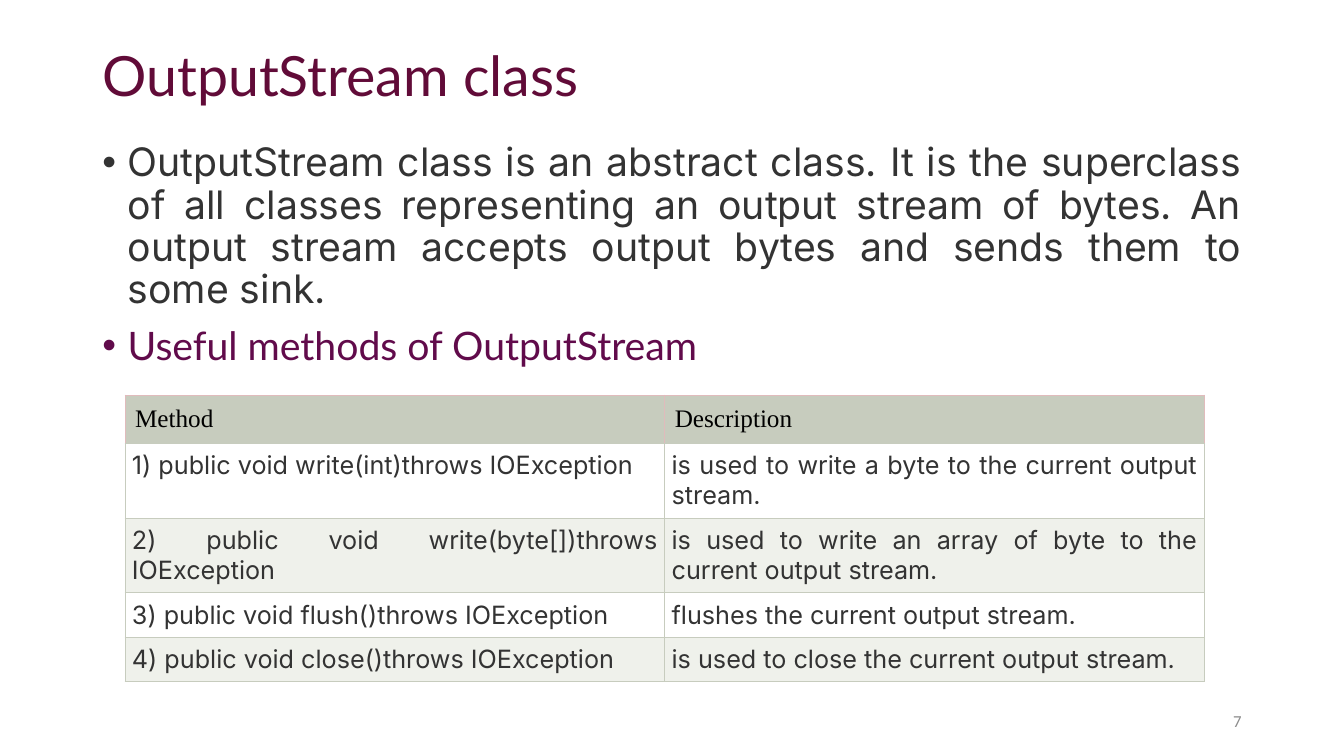
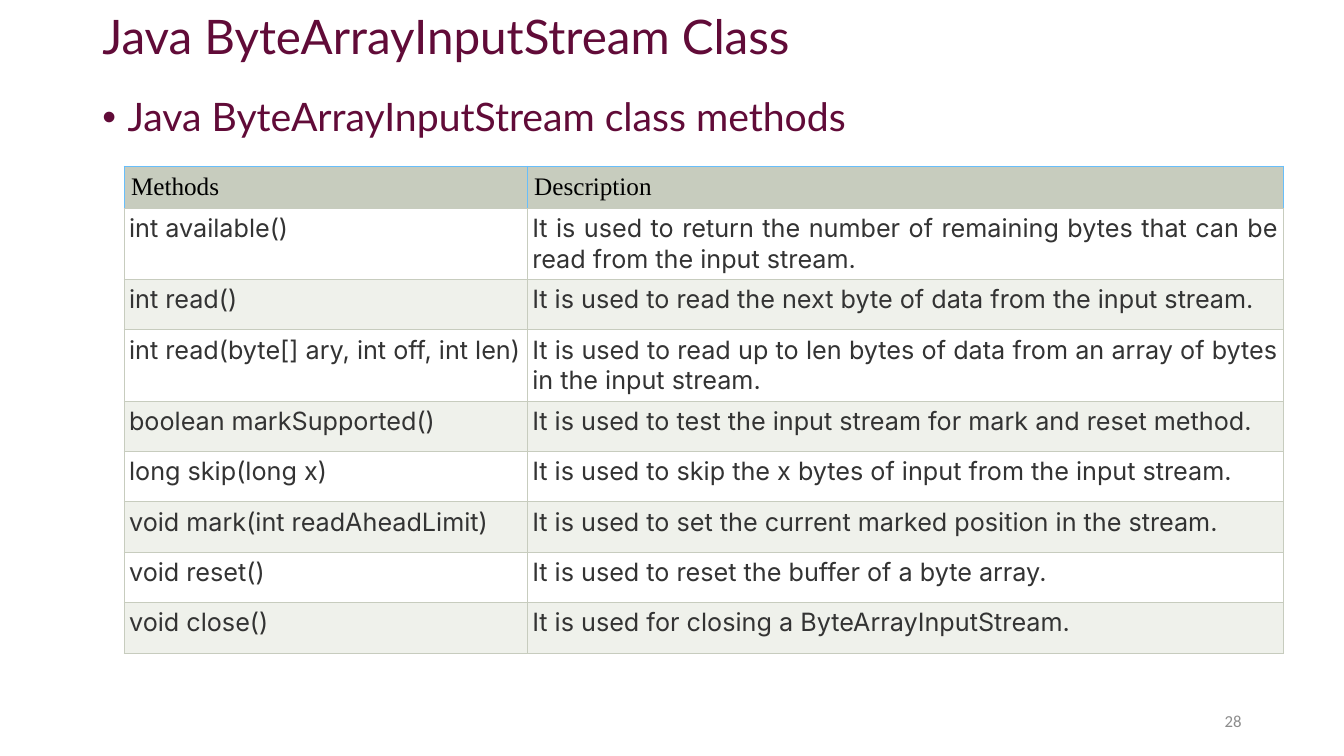
import dataclasses

import pptx
import pptx.dml.color
import pptx.enum.text
import pptx.oxml.ns
import pptx.util
from lxml import etree

Pt = pptx.util.Pt
ALIGN = pptx.enum.text.PP_ALIGN
ANCHOR = pptx.enum.text.MSO_ANCHOR


# Theme: colours, fonts, type sizes and the shared column of text
@dataclasses.dataclass(frozen=True)
class Theme:
    wine: str = "610B38"
    plum: str = "610B4B"
    text: str = "333333"
    black: str = "000000"
    number: str = "8C8C8C"
    sage: str = "C7CCBE"
    bands: tuple = ("FFFFFF", "EFF1EB")
    heading_font: str = "Lato"
    body_font: str = "Inter"
    header_font: str = "Times New Roman"
    number_font: str = "Calibri"
    body_size: float = 28
    table_size: float = 18
    number_size: float = 12
    border_width: float = 0.6
    left: float = 66
    width: float = 828
    body_height: float = 342.7


T = Theme()

STREAM_METHODS = [
    ("Method", "Description"),
    ("1) public void write(int)throws IOException",
     "is used to write a byte to the current output stream."),
    ("2) public void write(byte[])throws IOException",
     "is used to write an array of byte to the current output stream."),
    ("3) public void flush()throws IOException", "flushes the current output stream."),
    ("4) public void close()throws IOException",
     "is used to close the current output stream."),
]

BYTE_ARRAY_METHODS = [
    ("Methods", "Description"),
    ("int available()",
     "It is used to return the number of remaining bytes that can be read "
     "from the input stream."),
    ("int read()", "It is used to read the next byte of data from the input stream."),
    ("int read(byte[] ary, int off, int len)",
     "It is used to read up to len bytes of data from an array of bytes "
     "in the input stream."),
    ("boolean markSupported()",
     "It is used to test the input stream for mark and reset method."),
    ("long skip(long x)",
     "It is used to skip the x bytes of input from the input stream."),
    ("void mark(int readAheadLimit)",
     "It is used to set the current marked position in the stream."),
    ("void reset()", "It is used to reset the buffer of a byte array."),
    ("void close()", "It is used for closing a ByteArrayInputStream."),
]


# Helpers
def rgb(color):
    return pptx.dml.color.RGBColor.from_string(color)


def add_xml(parent, tag, **attributes):
    return etree.SubElement(parent, pptx.oxml.ns.qn(tag), attributes)


def set_font(p, name, size, color):
    p.font.name = name
    p.font.size = Pt(size)
    p.font.color.rgb = rgb(color)


def place(shape, left, top, width, height):
    shape.left, shape.top = Pt(left), Pt(top)
    shape.width, shape.height = Pt(width), Pt(height)


def prepare_frame(tf, anchor):
    tf.word_wrap = True
    tf.auto_size = pptx.enum.text.MSO_AUTO_SIZE.NONE
    tf.vertical_anchor = anchor


# Title, bullets and slide number
def set_title(s, text, top, height, size):
    title = s.shapes.title
    place(title, T.left, top, T.width, height)
    prepare_frame(title.text_frame, ANCHOR.MIDDLE)
    p = title.text_frame.paragraphs[0]
    p.text = text
    p.alignment = ALIGN.LEFT
    p.line_spacing = 0.9
    set_font(p, T.heading_font, size, T.wine)


def set_bullets(s, top, items):
    """Each item is (text, font, colour, alignment)."""
    body = s.placeholders[1]
    place(body, T.left, top, T.width, T.body_height)
    tf = body.text_frame
    prepare_frame(tf, ANCHOR.TOP)
    for i, (text, font, color, alignment) in enumerate(items):
        p = tf.add_paragraph() if i else tf.paragraphs[0]
        p.text = text
        p.alignment = alignment
        p.line_spacing = 0.9
        p.space_before = Pt(10 if i else 0)
        pPr = p._p.get_or_add_pPr()
        pPr.set("marL", str(Pt(18)))
        pPr.set("indent", str(-Pt(18)))
        add_xml(pPr, "a:buFont", typeface="Arial")
        add_xml(pPr, "a:buChar", char="•")
        set_font(p, font, T.body_size, color)


def add_slide_number(s, number):
    box = s.shapes.add_textbox(Pt(678), Pt(500.5), Pt(216), Pt(28.8))
    prepare_frame(box.text_frame, ANCHOR.MIDDLE)
    p = box.text_frame.paragraphs[0]
    p.text = str(number)
    p.alignment = ALIGN.RIGHT
    set_font(p, T.number_font, T.number_size, T.number)


# Tables
def set_borders(cell, edge_color):
    tcPr = cell._tc.get_or_add_tcPr()
    for side in ("L", "R", "T", "B"):
        line = add_xml(tcPr, f"a:ln{side}", w=str(Pt(T.border_width)))
        color = T.sage if side == "B" else edge_color
        add_xml(add_xml(line, "a:solidFill"), "a:srgbClr", val=color)


def fill_cell(cell, text, margin, edge_color, fill):
    set_borders(cell, edge_color)
    cell.fill.solid()
    cell.fill.fore_color.rgb = rgb(fill)
    cell.margin_left = cell.margin_right = Pt(margin)
    cell.margin_top = cell.margin_bottom = Pt(margin)
    p = cell.text_frame.paragraphs[0]
    p.text = text
    return p


def add_method_table(s, left, top, widths, heights, rows, header_edge, margins):
    """margins holds the cell margin of the header and of the other rows."""
    frame = s.shapes.add_table(len(rows), len(widths), Pt(left), Pt(top),
                               Pt(sum(widths)), Pt(sum(heights)))
    table = frame.table
    table.first_row = table.horz_banding = False
    for column, width in zip(table.columns, widths):
        column.width = Pt(width)
    for r, (height, texts) in enumerate(zip(heights, rows)):
        table.rows[r].height = Pt(height)
        for c, text in enumerate(texts):
            cell = table.cell(r, c)
            if r == 0:
                p = fill_cell(cell, text, margins[0], header_edge, T.sage)
                set_font(p, T.header_font, T.table_size, T.black)
            else:
                p = fill_cell(cell, text, margins[1], T.sage, T.bands[(r - 1) % 2])
                p.alignment = ALIGN.JUSTIFY
                set_font(p, T.body_font, T.table_size, T.text)


# Slides
def build_output_stream(prs):
    s = prs.slides.add_slide(prs.slide_layouts[1])
    set_title(s, "OutputStream class", 28.8, 54.7, 39.6)
    set_bullets(s, 98.6, [
        ("OutputStream class is an abstract class. It is the superclass of all "
         "classes representing an output stream of bytes. An output stream "
         "accepts output bytes and sends them to some sink.",
         T.body_font, T.text, ALIGN.JUSTIFY),
        ("Useful methods of OutputStream", T.heading_font, T.plum, ALIGN.LEFT),
    ])
    add_method_table(s, 89.3, 282.2, [385.5] * 2, [34.4, 52.8, 52.8, 31.4, 31.4],
                     STREAM_METHODS, "E0BBBC", (7.2, 5))
    add_slide_number(s, 7)


def build_byte_array_input_stream(prs):
    s = prs.slides.add_slide(prs.slide_layouts[1])
    set_title(s, "Java ByteArrayInputStream Class", 15.1, 25.2, 34)
    set_bullets(s, 66.2, [
        ("Java ByteArrayInputStream class methods",
         T.heading_font, T.wine, ALIGN.LEFT),
    ])
    add_method_table(s, 88.6, 118.8, [288, 540], [30, 50.8, 36, 50.8] + [36] * 5,
                     BYTE_ARRAY_METHODS, "68BEFA", (5, 3.6))
    add_slide_number(s, 28)


def main():
    prs = pptx.Presentation()
    prs.slide_width, prs.slide_height = Pt(960), Pt(540)
    build_output_stream(prs)
    build_byte_array_input_stream(prs)
    prs.save("out.pptx")


if __name__ == "__main__":
    main()
